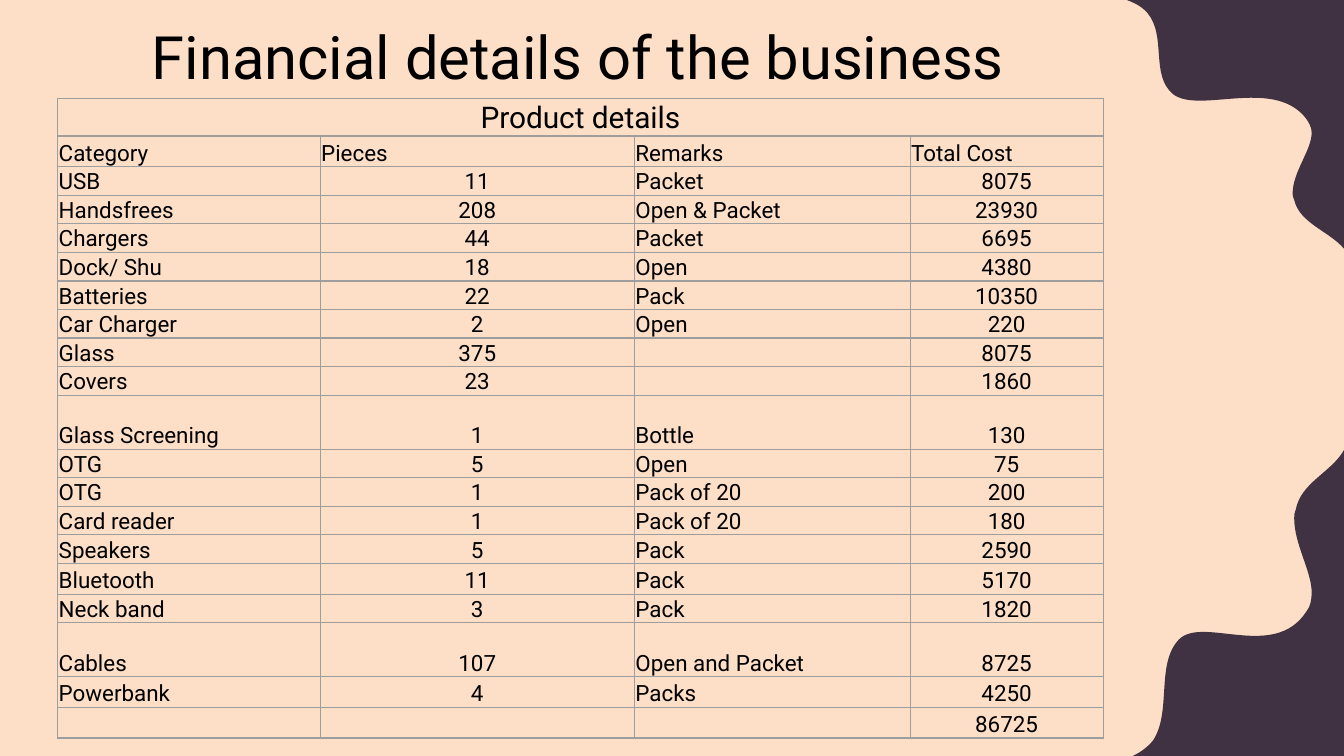
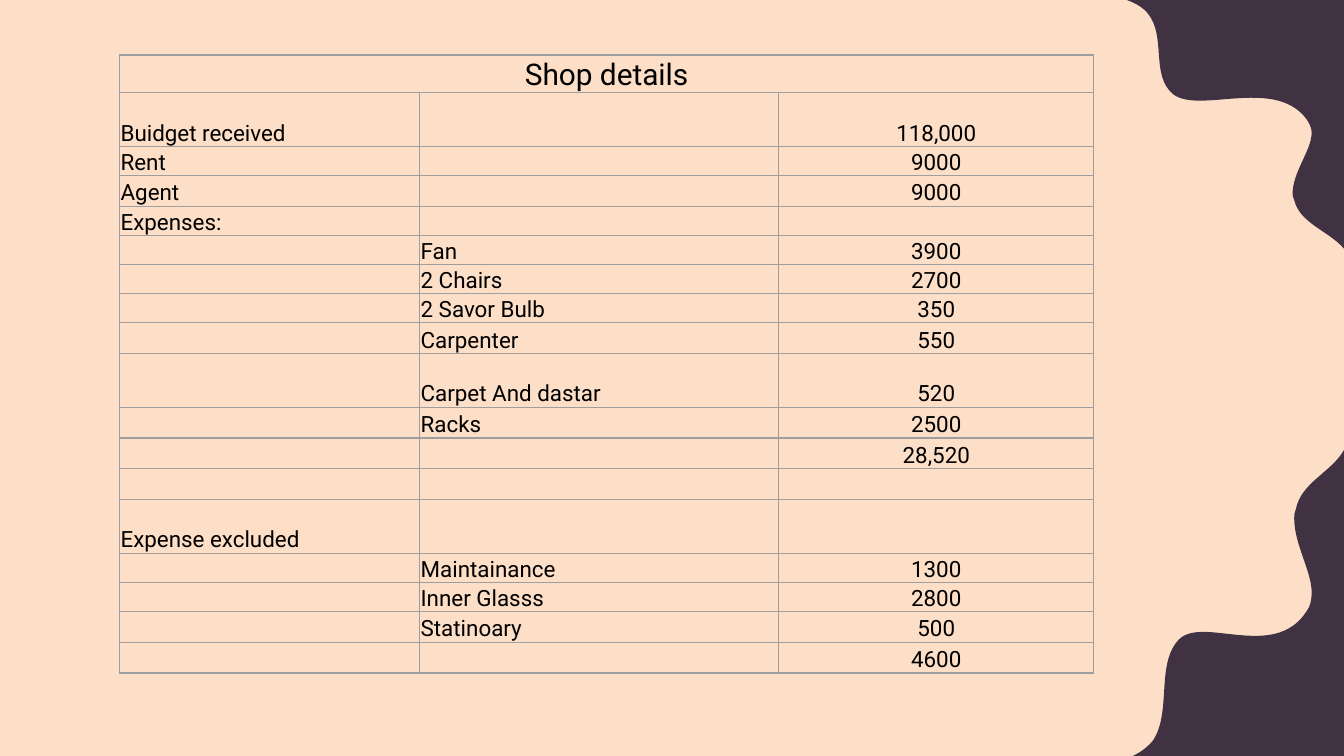
from lxml.etree import SubElement
from pptx import Presentation
from pptx.dml.color import RGBColor
from pptx.enum.text import MSO_ANCHOR, PP_ALIGN
from pptx.oxml.ns import qn
from pptx.util import Cm, Pt

FONT = "Roboto"
PEACH, PLUM, BLACK, GREY = "FDDEC7", "413243", "000000", "9E9E9E"
SLIDE_WIDTH, SLIDE_HEIGHT = 25.4, 14.29

# Row heights in centimetres
HEADING, SHORT, MEDIUM, ROOMY, TALL = 0.71, 0.54, 0.55, 0.58, 1.02

# Each wave is a start point followed by Bézier segments (two controls, one end).
TOP_WAVE = (
    (21.29, 0),
    [
        ((21.44, 0.05), (21.59, 0.13), (21.69, 0.25)),
        ((22.05, 0.69), (21.74, 1.42), (22.17, 1.78)),
        ((22.66, 2.16), (24.03, 1.47), (24.66, 2.21)),
        ((24.74, 2.31), (24.79, 2.41), (24.79, 2.51)),
        ((24.79, 2.84), (24.43, 3.25), (24.43, 3.66)),
        ((24.43, 3.68), (24.43, 3.73), (24.46, 3.78)),
        ((24.56, 4.22), (25.12, 4.37), (SLIDE_WIDTH, 4.7)),
    ],
)
BOTTOM_WAVE = (
    (21.41, SLIDE_HEIGHT),
    [
        ((21.56, 14.22), (21.69, 14.12), (21.79, 14)),
        ((22.15, 13.46), (21.84, 12.55), (22.28, 12.09)),
        ((22.73, 11.63), (24.08, 12.5), (24.69, 11.56)),
        ((24.77, 11.46), (24.79, 11.33), (24.79, 11.2)),
        ((24.79, 10.8), (24.46, 10.29), (24.46, 9.8)),
        ((24.46, 9.75), (24.46, 9.68), (24.49, 9.63)),
        ((24.59, 9.12), (25.15, 8.94), (SLIDE_WIDTH, 8.51)),
    ],
)

PRODUCT_COLUMNS = [4.96, 5.94, 5.21, 3.65]
PRODUCT_ROWS = [
    (ROOMY, "Category", "Pieces", "Remarks", "Total Cost"),
    (SHORT, "USB", "11", "Packet", "8075"),
    (SHORT, "Handsfrees", "208", "Open & Packet", "23930"),
    (SHORT, "Chargers", "44", "Packet", "6695"),
    (SHORT, "Dock/ Shu", "18", "Open", "4380"),
    (SHORT, "Batteries", "22", "Pack", "10350"),
    (SHORT, "Car Charger", "2", "Open", "220"),
    (SHORT, "Glass", "375", "", "8075"),
    (SHORT, "Covers", "23", "", "1860"),
    (TALL, "Glass Screening", "1", "Bottle", "130"),
    (SHORT, "OTG", "5", "Open", "75"),
    (SHORT, "OTG", "1", "Pack of 20", "200"),
    (SHORT, "Card reader", "1", "Pack of 20", "180"),
    (SHORT, "Speakers", "5", "Pack", "2590"),
    (ROOMY, "Bluetooth", "11", "Pack", "5170"),
    (SHORT, "Neck band", "3", "Pack", "1820"),
    (TALL, "Cables", "107", "Open and Packet", "8725"),
    (ROOMY, "Powerbank", "4", "Packs", "4250"),
    (ROOMY, "", "", "", "86725"),
]

SHOP_COLUMNS = [5.67, 6.79, 5.95]
SHOP_ROWS = [
    (TALL, "Buidget received", "", "118,000"),
    (MEDIUM, "Rent", "", "9000"),
    (ROOMY, "Agent", "", "9000"),
    (MEDIUM, "Expenses:", "", ""),
    (MEDIUM, "", "Fan", "3900"),
    (MEDIUM, "", "2 Chairs", "2700"),
    (MEDIUM, "", "2 Savor Bulb", "350"),
    (ROOMY, "", "Carpenter", "550"),
    (TALL, "", "Carpet And dastar", "520"),
    (ROOMY, "", "Racks", "2500"),
    (ROOMY, "", "", "28,520"),
    (ROOMY, "", "", ""),
    (TALL, "Expense excluded", "", ""),
    (MEDIUM, "", "Maintainance", "1300"),
    (MEDIUM, "", "Inner Glasss", "2800"),
    (ROOMY, "", "Statinoary", "500"),
    (ROOMY, "", "", "4600"),
]


def set_solid(fill, color):
    fill.solid()
    fill.fore_color.rgb = RGBColor.from_string(color)


def write_text(text_frame, text, size=12, color=BLACK, align=PP_ALIGN.LEFT):
    paragraph = text_frame.paragraphs[0]
    paragraph.alignment = align
    if text:
        run = paragraph.add_run()
        run.text = text
        run.font.name = FONT
        run.font.size = Pt(size)
        run.font.color.rgb = RGBColor.from_string(color)
    else:
        # Keeps an empty cell from growing to the default text size
        SubElement(paragraph._p, qn("a:endParaRPr"), sz=str(size * 100))


def bend_lines(shape, curve_count):
    """Turn each leading run of three line segments into one cubic curve."""
    outline = next(shape._element.iter(qn("a:path")))
    lines = outline.findall(qn("a:lnTo"))
    for index in range(0, curve_count * 3, 3):
        curve = outline.makeelement(qn("a:cubicBezTo"))
        lines[index].addprevious(curve)
        for line in lines[index:index + 3]:
            curve.append(line[0])
            outline.remove(line)


def add_wave(slide, start, segments):
    """Fill the right-hand corner that the curve cuts off."""
    start_x, start_y = start
    points = [point for segment in segments for point in segment]
    points += [(SLIDE_WIDTH, start_y), start]
    builder = slide.shapes.build_freeform(Cm(start_x), Cm(start_y))
    builder.add_line_segments([(Cm(x), Cm(y)) for x, y in points])
    shape = builder.convert_to_shape()
    bend_lines(shape, len(segments))
    shape.shadow.inherit = False
    set_solid(shape.fill, PLUM)
    shape.line.fill.background()


def add_wavy_slide(presentation):
    slide = presentation.slides.add_slide(presentation.slide_layouts[6])
    set_solid(slide.background.fill, PEACH)
    for wave in (BOTTOM_WAVE, TOP_WAVE):
        add_wave(slide, *wave)
    return slide


def add_title(slide, text):
    box = slide.shapes.add_textbox(Cm(1.93), Cm(0.25), Cm(18), Cm(1.63))
    box.text_frame.word_wrap = True
    write_text(box.text_frame, text, size=32, align=PP_ALIGN.CENTER)


def add_borders(cell, color=GREY, width=0.75):
    properties = cell._tc.get_or_add_tcPr()
    for side in ("a:lnL", "a:lnR", "a:lnT", "a:lnB"):
        line = SubElement(properties, qn(side), w=str(Pt(width)))
        fill = SubElement(line, qn("a:solidFill"))
        SubElement(fill, qn("a:srgbClr"), val=color)


def format_cell(cell):
    cell.margin_left = cell.margin_top = cell.margin_right = Cm(0.02)
    cell.margin_bottom = 0
    cell.vertical_anchor = MSO_ANCHOR.BOTTOM
    add_borders(cell)
    cell.fill.background()


def add_details_table(slide, left, top, columns, heading, rows):
    """Add a bordered table whose heading spans all columns; numbers are centred."""
    heights = [HEADING] + [row[0] for row in rows]
    table = slide.shapes.add_table(
        len(heights), len(columns), Cm(left), Cm(top), Cm(sum(columns)), Cm(sum(heights))
    ).table
    table.first_row = table.horz_banding = False
    for column, width in zip(table.columns, columns):
        column.width = Cm(width)
    for row, height in zip(table.rows, heights):
        row.height = Cm(height)
    for cell in table.iter_cells():
        format_cell(cell)

    table.cell(0, 0).merge(table.cell(0, len(columns) - 1))
    write_text(table.cell(0, 0).text_frame, heading, size=16, align=PP_ALIGN.CENTER)
    for column_index in range(1, len(columns)):
        write_text(table.cell(0, column_index).text_frame, "")
    for row_index, (_, *texts) in enumerate(rows, start=1):
        for column_index, text in enumerate(texts):
            is_number = text.replace(",", "").isdigit()
            write_text(
                table.cell(row_index, column_index).text_frame,
                text,
                align=PP_ALIGN.CENTER if is_number else PP_ALIGN.LEFT,
            )


def main():
    presentation = Presentation()
    presentation.slide_width = Cm(SLIDE_WIDTH)
    presentation.slide_height = Cm(SLIDE_HEIGHT)

    slide = add_wavy_slide(presentation)
    add_title(slide, "Financial details of the business")
    add_details_table(slide, 1.09, 1.86, PRODUCT_COLUMNS, "Product details", PRODUCT_ROWS)

    slide = add_wavy_slide(presentation)
    add_details_table(slide, 2.26, 1.04, SHOP_COLUMNS, "Shop details", SHOP_ROWS)

    presentation.save("out.pptx")


if __name__ == "__main__":
    main()
